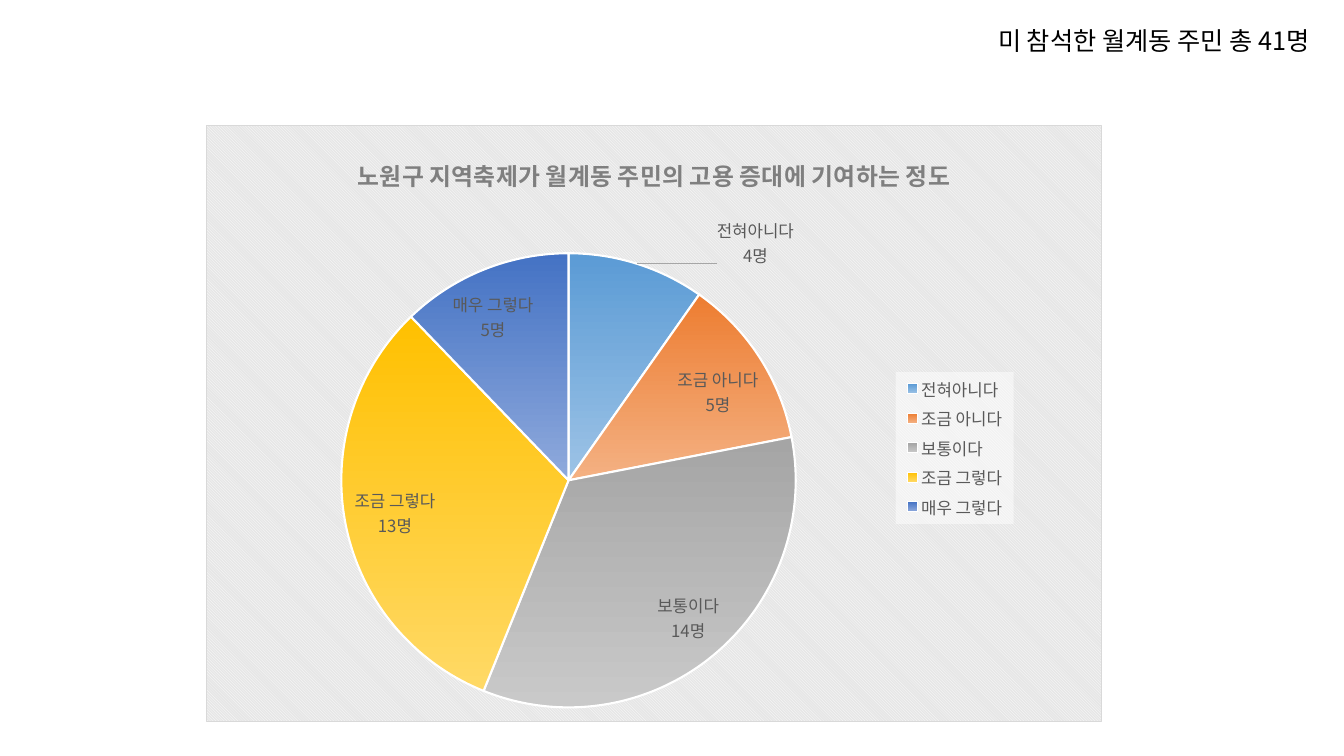
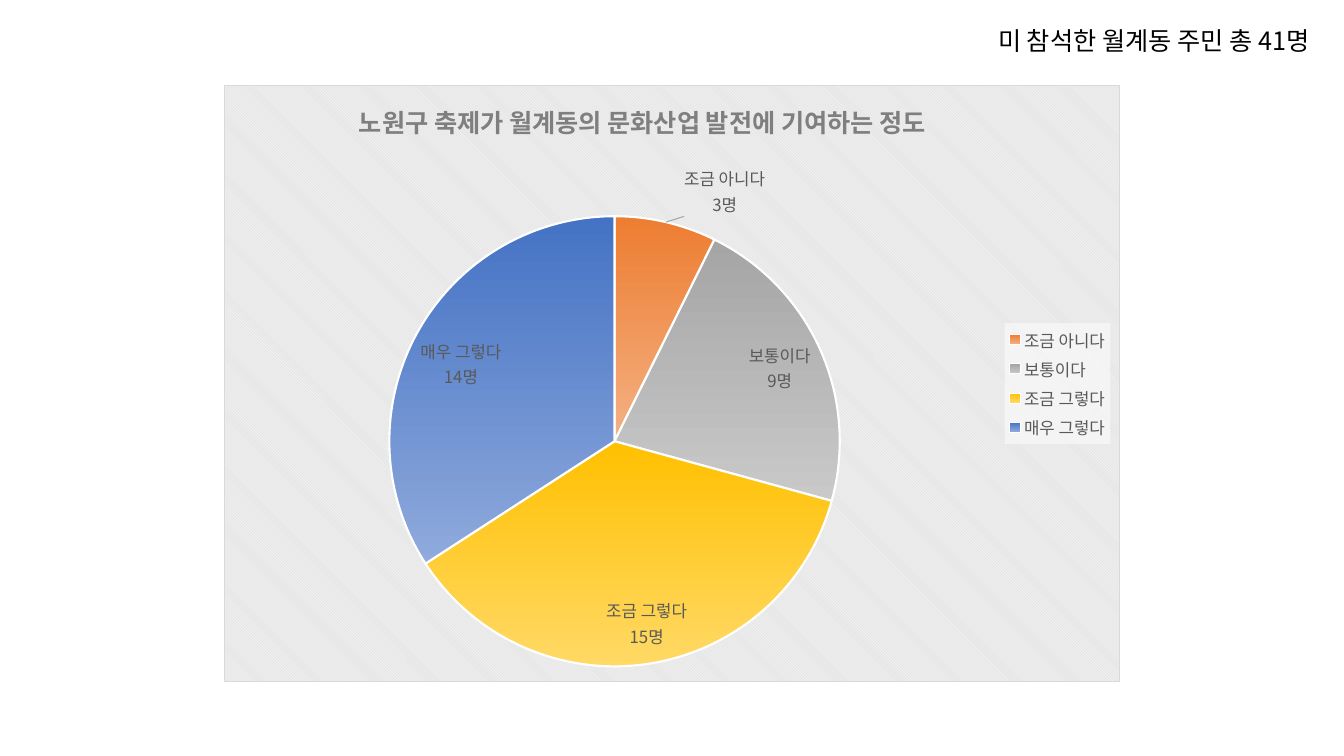
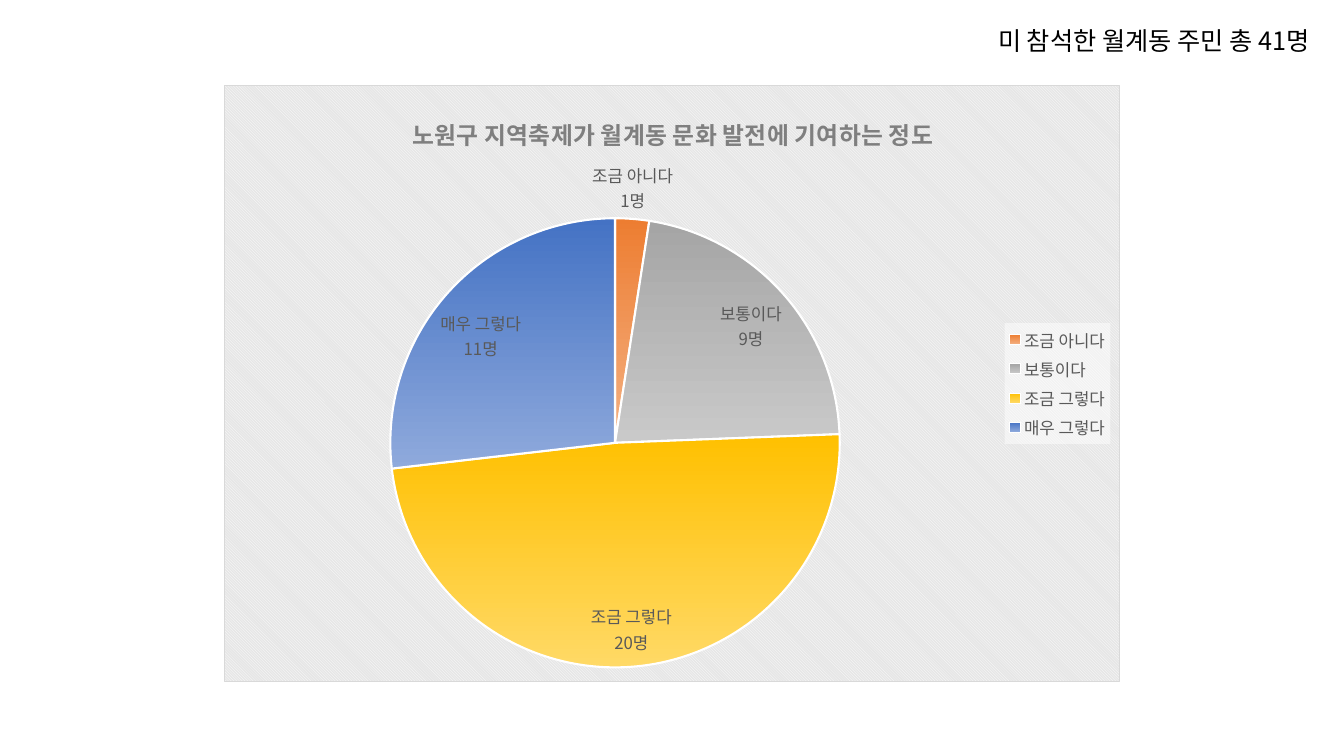
import copy

import pptx
import pptx.chart.data
import pptx.dml.color
import pptx.enum.chart
import pptx.enum.text
import pptx.oxml
import pptx.oxml.ns
import pptx.util

FONT = "Noto Sans CJK KR"
COLORS = {
    "ink": "000000", "title": "7F7F7F", "label": "595959", "border": "D9D9D9",
    "leader": "A6A6A6", "paper": "FFFFFF", "stripe": "E6E6E6",
}
HEADLINE = "미 참석한 월계동 주민 총 41명"
HEADLINE_BOX = (988, 20, 373, 40)
ANSWERS = [
    ("전혀아니다", "5B9BD5", "9DC3E6"),
    ("조금 아니다", "ED7D31", "F4B183"),
    ("보통이다", "A5A5A5", "C9C9C9"),
    ("조금 그렇다", "FFC000", "FFD966"),
    ("매우 그렇다", "4472C4", "8FAADC"),
]
SURVEYS = [
    {
        "question": "노원구 지역축제가 월계동 주민의 고용 증대에 기여하는 정도",
        "size": 17, "votes": (4, 5, 14, 13, 5), "frame": (206, 125, 896, 597),
        "question_at": (353, 150), "pie": (341, 253, 455, 455),
        "legend": (896, 372, 118, 152), "label_shifts": {0: (78, 10)},
    },
    {
        "question": "노원구 축제가 월계동의 문화산업 발전에 기여하는 정도",
        "size": 18, "votes": (0, 3, 9, 15, 14), "frame": (224, 85, 896, 597),
        "question_at": (354, 95), "pie": (389, 216, 451, 451),
        "legend": (1005, 323, 106, 121), "label_shifts": {1: (17, 0)},
    },
    {
        "question": "노원구 지역축제가 월계동 문화 발전에 기여하는 정도",
        "size": 17, "votes": (0, 1, 9, 20, 11), "frame": (224, 85, 896, 597),
        "question_at": (408, 109), "pie": (390, 218, 450, 450),
        "legend": (1005, 323, 106, 121), "label_shifts": {},
    },
]

qn = pptx.oxml.ns.qn
NAMESPACES = pptx.oxml.ns.nsdecls("c", "a")


def px(length):
    return pptx.util.Emu(round(length * 914400 / 100.8))


def rgb(value):
    return pptx.dml.color.RGBColor.from_string(value)


def xml(tag, inner="", attributes=""):
    return pptx.oxml.parse_xml(f"<{tag} {NAMESPACES} {attributes}>{inner}</{tag}>")


def solid(color, alpha=100):
    return (f'<a:solidFill><a:srgbClr val="{color}"><a:alpha val="{alpha * 1000}"/>'
            f"</a:srgbClr></a:solidFill>")


def apply(target, values):
    for name, value in values.items():
        setattr(target, name, value)


def set_font(font, size, color, bold=False):
    apply(font, {"name": FONT, "size": pptx.util.Pt(size), "bold": bold})
    font.color.rgb = rgb(color)


def add_east_asian_font(root):
    for latin in list(root.iter(qn("a:latin"))):
        latin.addnext(xml("a:ea", attributes=f'typeface="{FONT}"'))


def manual_layout(fractions, target="", modes=""):
    sizes = "".join(f'<c:{key} val="{value:.4f}"/>' for key, value in zip("xywh", fractions))
    return xml("c:layout", f"<c:manualLayout>{target}{modes}{sizes}</c:manualLayout>")


def place(part, box, frame, target=""):
    left, top, width, height = frame
    offsets = (box[0] - left, box[1] - top, *box[2:])
    fractions = [value / whole for value, whole in zip(offsets, (width, height) * 2)]
    for former in part.findall(qn("c:layout")):
        part.remove(former)
    leading = [child for child in part
               if child.tag in (qn("c:tx"), qn("c:legendPos"), qn("c:legendEntry"))]
    modes = '<c:xMode val="edge"/><c:yMode val="edge"/>'
    part.insert(len(leading), manual_layout(fractions, target, modes))


def add_headline(slide):
    headline = slide.shapes.title
    apply(headline, dict(zip(("left", "top", "width", "height"), map(px, HEADLINE_BOX))))
    frame = headline.text_frame
    frame.text = HEADLINE
    apply(frame, {
        "word_wrap": False,
        "auto_size": pptx.enum.text.MSO_AUTO_SIZE.SHAPE_TO_FIT_TEXT,
        "vertical_anchor": pptx.enum.text.MSO_ANCHOR.TOP,
    })
    line = frame.paragraphs[0]
    apply(line, {"alignment": pptx.enum.text.PP_ALIGN.LEFT, "line_spacing": 1.0})
    set_font(line.runs[0].font, 18, COLORS["ink"])
    add_east_asian_font(headline.element)


def color_slices(votes):
    for index, (_, start, end) in enumerate(ANSWERS):
        look = votes.points[index].format
        look.fill.gradient()
        look.fill.gradient_angle = 270
        for stop, color in zip(look.fill.gradient_stops, (start, end)):
            stop.color.rgb = rgb(color)
        look.line.color.rgb = rgb(COLORS["paper"])
        look.line.width = pptx.util.Pt(1.5)


def label_slices(votes, survey):
    labels = votes.data_labels
    apply(labels, {
        "show_value": True, "show_category_name": True,
        "number_format": '0"명"', "number_format_is_linked": False,
        "position": pptx.enum.chart.XL_LABEL_POSITION.BEST_FIT,
    })
    set_font(labels.font, 12, COLORS["label"])
    root = labels._element
    for former in root.findall(qn("c:showLeaderLines")):
        root.remove(former)
    separator = xml("c:separator")
    separator.text = "\n"
    root.append(separator)
    shared = list(root)
    details = []
    for index, count in enumerate(survey["votes"]):
        detail = xml("c:dLbl", f'<c:idx val="{index}"/>')
        if count == 0:
            detail.append(xml("c:delete", attributes='val="1"'))
        elif index in survey["label_shifts"]:
            shift = survey["label_shifts"][index]
            size = survey["frame"][2:]
            detail.append(manual_layout([move / whole for move, whole in zip(shift, size)]))
            detail.extend(copy.deepcopy(shared))
        else:
            continue
        details.append(detail)
    root[0:0] = details
    root.append(xml("c:showLeaderLines", attributes='val="1"'))
    root.append(xml("c:leaderLines",
                    f'<c:spPr><a:ln w="9525">{solid(COLORS["leader"])}</a:ln></c:spPr>'))


def style_legend(chart, survey):
    chart.has_legend = True
    legend = chart.legend
    apply(legend, {"position": pptx.enum.chart.XL_LEGEND_POSITION.RIGHT,
                   "include_in_layout": False})
    set_font(legend.font, 12, COLORS["label"])
    root = legend._element
    root.find(qn("c:txPr")).addprevious(xml("c:spPr", solid(COLORS["paper"], 50)))
    hidden = [index for index, count in enumerate(survey["votes"]) if count == 0]
    for position, index in enumerate(hidden, 1):
        root.insert(position, xml("c:legendEntry",
                                  f'<c:idx val="{index}"/><c:delete val="1"/>'))
    place(root, survey["legend"], survey["frame"])


def add_survey(slide, survey):
    results = pptx.chart.data.CategoryChartData()
    results.categories = [answer for answer, _, _ in ANSWERS]
    results.add_series("Series 1", survey["votes"])
    frame = survey["frame"]
    chart = slide.shapes.add_chart(
        pptx.enum.chart.XL_CHART_TYPE.PIE, *map(px, frame), results).chart
    set_font(chart.font, 10, COLORS["ink"])

    chart.has_title = True
    question = chart.chart_title.text_frame
    question.text = survey["question"]
    set_font(question.paragraphs[0].runs[0].font, survey["size"], COLORS["title"], True)

    pie = chart.plots[0]
    pie.vary_by_categories = True
    color_slices(pie.series[0])
    label_slices(pie.series[0], survey)
    style_legend(chart, survey)

    body = chart.element.find(qn("c:chart"))
    place(body.find(qn("c:title")), survey["question_at"], frame)
    place(body.find(qn("c:plotArea")), survey["pie"], frame,
          '<c:layoutTarget val="inner"/>')
    body.addnext(xml("c:spPr", (
        f'<a:pattFill prst="dkDnDiag"><a:fgClr><a:srgbClr val="{COLORS["paper"]}"/></a:fgClr>'
        f'<a:bgClr><a:srgbClr val="{COLORS["stripe"]}"/></a:bgClr></a:pattFill>'
        f'<a:ln w="9525">{solid(COLORS["border"])}</a:ln>')))
    add_east_asian_font(chart.element)


def main():
    deck = pptx.Presentation()
    apply(deck, {"slide_width": px(1344), "slide_height": px(756)})
    for survey in SURVEYS:
        slide = deck.slides.add_slide(deck.slide_layouts[5])
        add_survey(slide, survey)
        add_headline(slide)
    deck.save("out.pptx")


if __name__ == "__main__":
    main()
